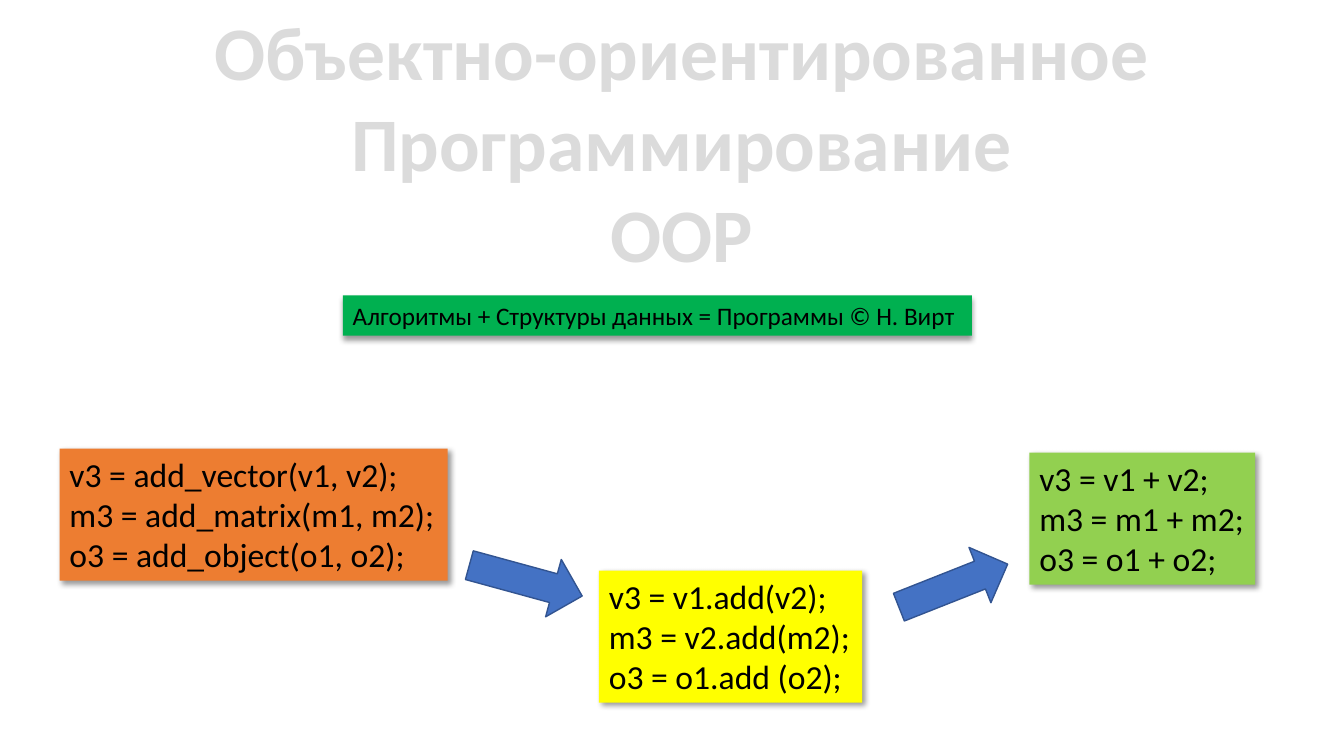
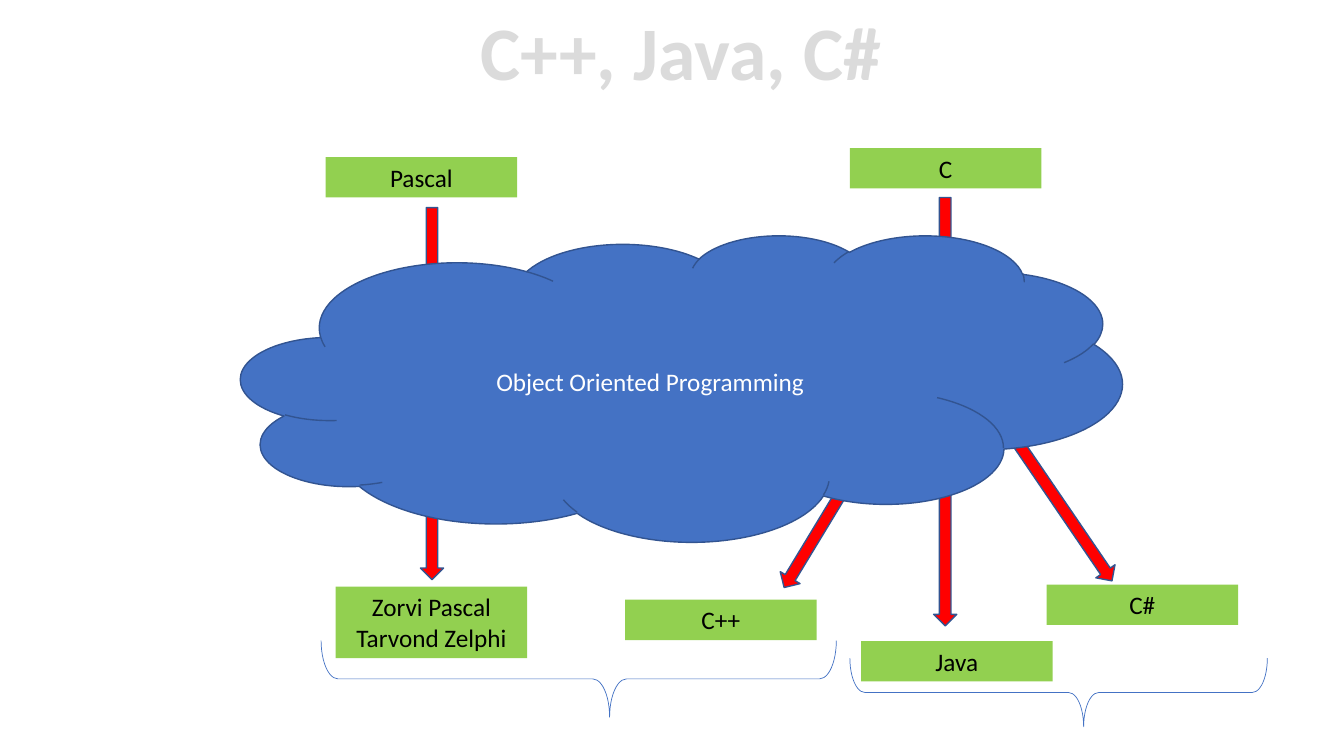
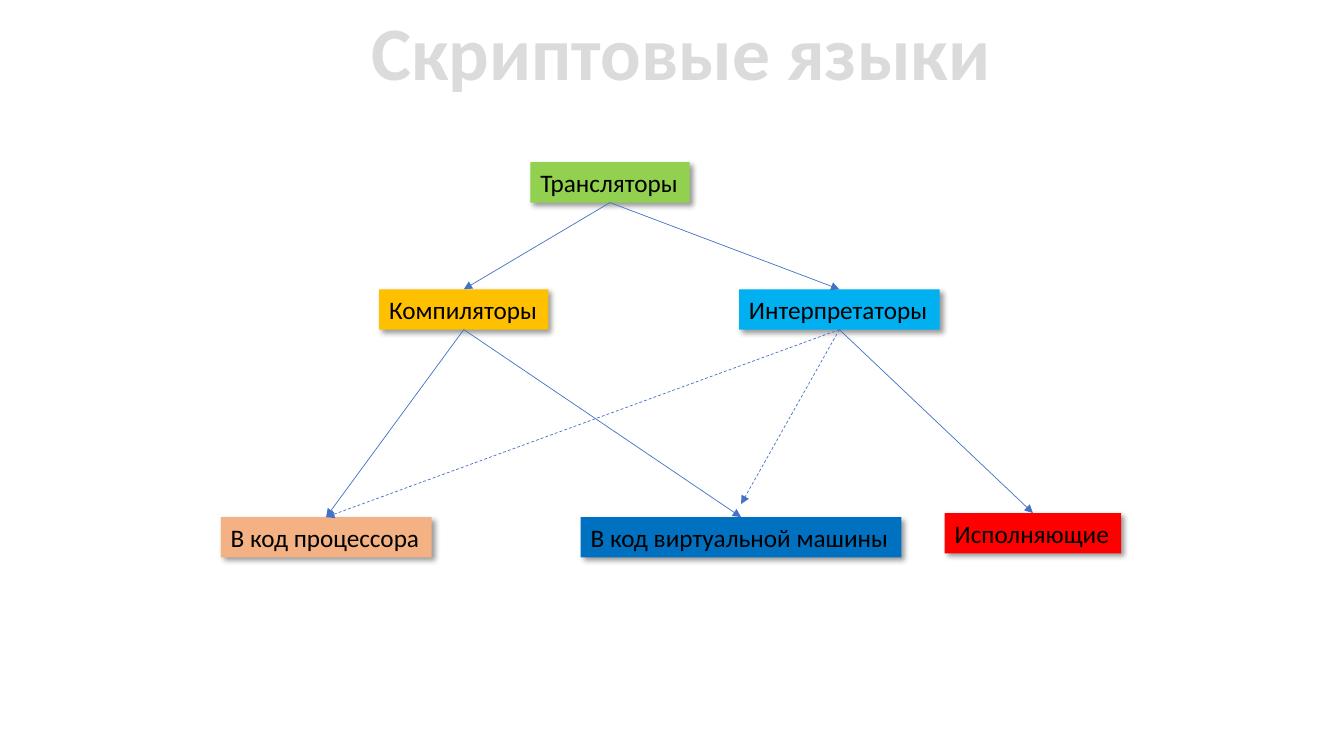
import pptx
import pptx.util
import pptx.dml.color
import pptx.enum.dml
import pptx.enum.shapes
import pptx.enum.text
import pptx.oxml
import pptx.oxml.ns
from lxml import etree

Inches = pptx.util.Inches
Pt = pptx.util.Pt
PRESET = pptx.enum.shapes.MSO_SHAPE
ALIGN = pptx.enum.text.PP_ALIGN
ANCHOR = pptx.enum.text.MSO_ANCHOR
AUTO_SIZE = pptx.enum.text.MSO_AUTO_SIZE

FONT = "Calibri"
TITLE_ONLY_LAYOUT = 5
TOP, BOTTOM = 0, 2

COLORS = {
    "title": "DBDBDB",
    "black": "000000",
    "white": "FFFFFF",
    "blue": "4472C4",
    "outline": "325491",
    "green": "00B050",
    "lime": "92D050",
    "orange": "ED7D31",
    "peach": "F4B183",
    "yellow": "FFFF00",
    "amber": "FFC000",
    "sky": "00B0F0",
    "deep_blue": "0070C0",
    "red": "FF0000",
}


def rgb(name):
    return pptx.dml.color.RGBColor.from_string(COLORS[name])


def write_text(shape, text, size, color, align=ALIGN.LEFT, anchor=ANCHOR.TOP,
               wrap=True, grow=True, bold=False):
    """Fill a shape with text; each line becomes a paragraph."""
    frame = shape.text_frame
    frame.text = text
    frame.word_wrap = wrap
    frame.auto_size = AUTO_SIZE.SHAPE_TO_FIT_TEXT if grow else AUTO_SIZE.NONE
    frame.vertical_anchor = anchor
    for paragraph in frame.paragraphs:
        paragraph.alignment = align
        for run in paragraph.runs:
            run.font.name = FONT
            run.font.size = Pt(size)
            run.font.bold = bold
            run.font.color.rgb = rgb(color)


def add_titled_slide(presentation, title, left, width, height=1.01):
    slide = presentation.slides.add_slide(presentation.slide_layouts[TITLE_ONLY_LAYOUT])
    shape = slide.shapes.title
    shape.left, shape.top = Inches(left), Inches(0)
    shape.width, shape.height = Inches(width), Inches(height)
    write_text(shape, title, 54, "title", ALIGN.CENTER, wrap=False, bold=True)
    return slide


def add_preset(slide, preset, left, top, width, height, fill=None, line=None,
               line_width=1, rotation=0):
    shape = slide.shapes.add_shape(
        preset, Inches(left), Inches(top), Inches(width), Inches(height))
    shape.shadow.inherit = False
    shape.rotation = rotation
    if fill:
        shape.fill.solid()
        shape.fill.fore_color.rgb = rgb(fill)
    else:
        shape.fill.background()
    if line:
        shape.line.color.rgb = rgb(line)
        shape.line.width = Pt(line_width)
    else:
        shape.line.fill.background()
    return shape


def add_shadow(shape, angle):
    effects = shape._element.spPr.find(pptx.oxml.ns.qn("a:effectLst"))
    effects.append(pptx.oxml.parse_xml(
        f'<a:outerShdw {pptx.oxml.ns.nsdecls("a")} blurRad="{Pt(4)}" dist="{Pt(3)}" '
        f'dir="{angle * 60000}" algn="tl" rotWithShape="0">'
        f'<a:srgbClr val="{COLORS["black"]}"><a:alpha val="40000"/></a:srgbClr>'
        '</a:outerShdw>'))


def add_shadow_box(slide, text, left, top, width, fill, height=0.4, size=18, angle=45):
    box = add_preset(slide, PRESET.RECTANGLE, left, top, width, height, fill)
    add_shadow(box, angle)
    write_text(box, text, size, "black", wrap=False)
    return box


def add_language(slide, text, left, top, height=0.4):
    box = add_preset(slide, PRESET.RECTANGLE, left, top, 1.9, height, "lime")
    write_text(box, text, 18, "black", ALIGN.CENTER)


def add_block_arrow(slide, left, top, width, height, fill, rotation=0):
    add_preset(slide, PRESET.DOWN_ARROW, left, top, width, height, fill,
               "outline", rotation=rotation)


def add_brace(slide, left, top, width, height):
    brace = add_preset(slide, PRESET.LEFT_BRACE, left, top, width, height,
                       line="blue", line_width=0.5, rotation=270)
    brace.adjustments[0] = 0.22
    brace.adjustments[1] = 0.56


def add_link(slide, parent, child, dashed=False, gap=0):
    """Arrow from the parent's bottom to the child's top, or to a gap above it."""
    link = slide.shapes.add_connector(
        pptx.enum.shapes.MSO_CONNECTOR.STRAIGHT,
        parent.left + parent.width // 2, parent.top + parent.height,
        child.left + child.width // 2, child.top - Inches(gap))
    link.begin_connect(parent, BOTTOM)
    if not gap:
        link.end_connect(child, TOP)
    link.line.color.rgb = rgb("blue")
    link.line.width = Pt(0.5)
    if dashed:
        link.line.dash_style = pptx.enum.dml.MSO_LINE.DASH
    etree.SubElement(link.line._get_or_add_ln(), pptx.oxml.ns.qn("a:tailEnd"),
                     type="triangle")
    etree.SubElement(link._element.spPr, pptx.oxml.ns.qn("a:effectLst"))


def build_paradigm_slide(presentation):
    slide = add_titled_slide(
        presentation, "Объектно-ориентированное\nПрограммирование\nOOP", 1.98, 9.56, 2.83)
    add_shadow_box(slide, "Алгоритмы + Структуры данных = Программы © Н. Вирт",
                   3.4, 2.93, 6.24, "green", angle=90)
    for code, left, top, width, fill in (
        ("v3 = add_vector(v1, v2);\nm3 = add_matrix(m1, m2);\no3 = add_object(o1, o2);",
         0.59, 4.45, 3.85, "orange"),
        ("v3 = v1.add(v2);\nm3 = v2.add(m2);\no3 = o1.add (o2);",
         5.94, 5.66, 2.61, "yellow"),
        ("v3 = v1 + v2;\nm3 = m1 + m2;\no3 = o1 + o2;",
         10.21, 4.49, 2.24, "lime"),
    ):
        add_shadow_box(slide, code, left, top, width, fill, height=1.31, size=24)
    add_block_arrow(slide, 4.92, 5.18, 0.59, 1.16, "blue", 285.3)
    add_block_arrow(slide, 9.16, 5.23, 0.59, 1.16, "blue", 248.4)


def build_languages_slide(presentation):
    slide = add_titled_slide(presentation, "C++, Java, C#", 4.65, 4.21)
    for left, top, height, rotation in (
        (9.26, 3.71, 2.5, 0),
        (8.31, 3.51, 2.5, 31.2),
        (10.21, 3.48, 2.5, 325.7),
        (9.26, 1.96, 2.5, 0),
        (4.17, 2.06, 3.69, 0),
    ):
        add_block_arrow(slide, left, top, 0.23, height, "red", rotation)
    cloud = add_preset(slide, PRESET.CLOUD, 2.39, 2.33, 8.74, 3.04, "blue", "outline")
    write_text(cloud, "Object Oriented Programming", 18, "white", ALIGN.CENTER,
               ANCHOR.MIDDLE, grow=False)
    add_language(slide, "Pascal", 3.23, 1.56)
    add_language(slide, "Zorvi Pascal\nTarvond Zelphi", 3.33, 5.82, 0.71)
    add_language(slide, "C", 8.43, 1.47)
    add_language(slide, "C++", 6.2, 5.95)
    add_language(slide, "Java", 8.54, 6.36)
    add_language(slide, "C#", 10.38, 5.8)
    add_brace(slide, 5.36, 4.18, 0.76, 5.11)
    add_brace(slide, 10.16, 4.8, 0.68, 4.14)


def build_translators_slide(presentation):
    slide = add_titled_slide(presentation, "Скриптовые языки", 3.55, 6.41)
    translators = add_shadow_box(slide, "Трансляторы", 5.26, 1.61, 1.58, "lime")
    compilers = add_shadow_box(slide, "Компиляторы", 3.76, 2.87, 1.68, "amber")
    interpreters = add_shadow_box(slide, "Интерпретаторы", 7.33, 2.87, 1.99, "sky")
    processor = add_shadow_box(slide, "В код процессора", 2.19, 5.13, 2.09, "peach")
    virtual_machine = add_shadow_box(
        slide, "В код виртуальной машины", 5.76, 5.13, 3.18, "deep_blue")
    executors = add_shadow_box(slide, "Исполняющие", 9.37, 5.09, 1.75, "red")
    for parent, child in (
        (translators, compilers),
        (translators, interpreters),
        (compilers, processor),
        (compilers, virtual_machine),
        (interpreters, executors),
    ):
        add_link(slide, parent, child)
    add_link(slide, interpreters, processor, dashed=True)
    add_link(slide, interpreters, virtual_machine, dashed=True, gap=0.13)


def main():
    presentation = pptx.Presentation()
    presentation.slide_width = Inches(13.33)
    presentation.slide_height = Inches(7.5)
    build_paradigm_slide(presentation)
    build_languages_slide(presentation)
    build_translators_slide(presentation)
    presentation.save("out.pptx")


if __name__ == "__main__":
    main()
